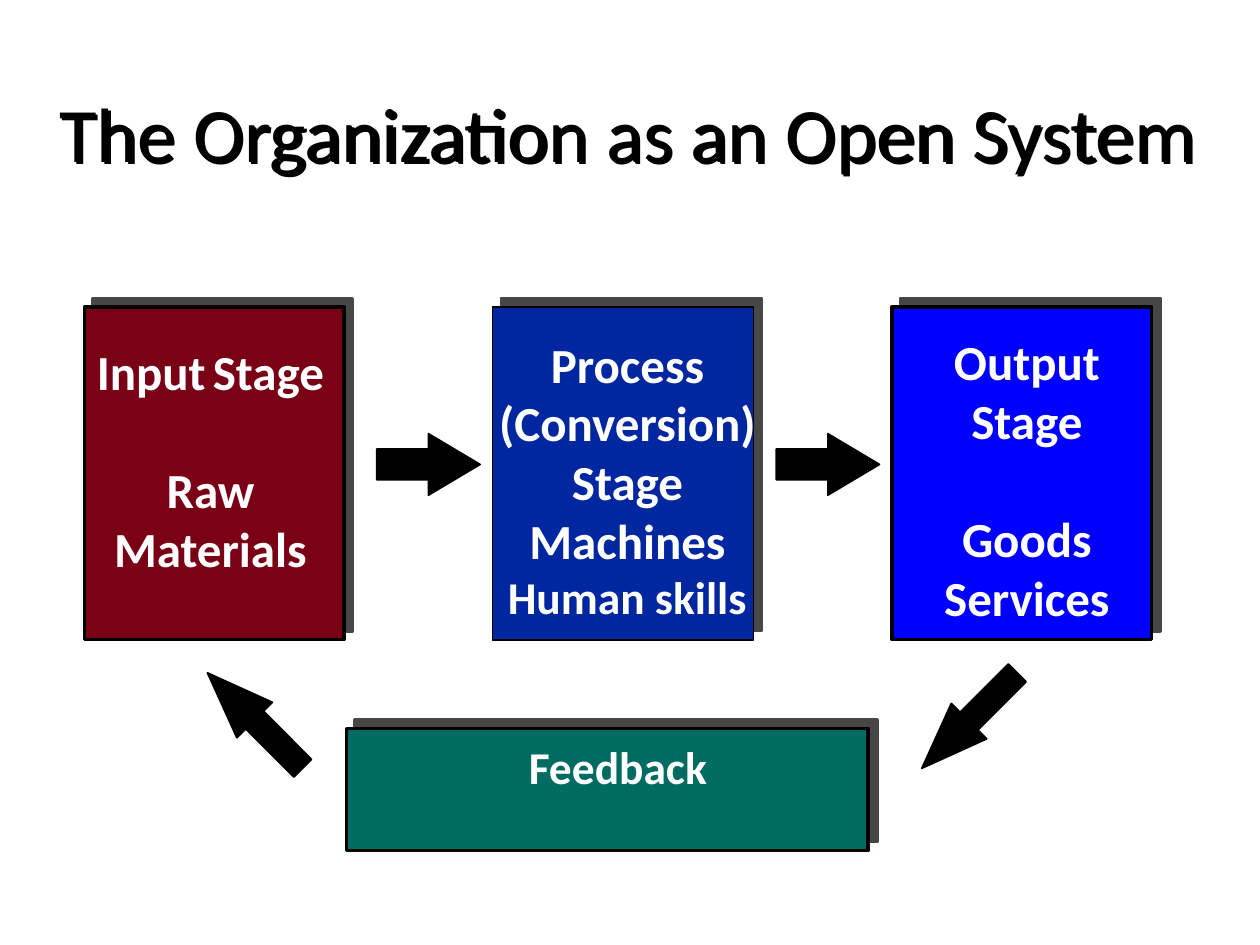
from lxml.etree import SubElement
from pptx import Presentation
from pptx.dml.color import RGBColor
from pptx.enum.shapes import MSO_SHAPE
from pptx.enum.text import MSO_ANCHOR, MSO_AUTO_SIZE, PP_ALIGN
from pptx.oxml.ns import qn
from pptx.util import Inches, Pt

COLORS = {"black": "000000", "white": "FFFFFF", "shadow": "474747",
          "input": "790015", "process": "00279F", "output": "0000FF",
          "feedback": "006B61"}
RGB = {name: RGBColor.from_string(value) for name, value in COLORS.items()}
FONT = "Calibri"

prs = Presentation()
prs.slide_width, prs.slide_height = Inches(10), Inches(7.5)


def place(left, top, width, height):
    """Turn percentages of the slide's width and height into lengths."""
    w, h = prs.slide_width / 100, prs.slide_height / 100
    return int(left * w), int(top * h), int(width * w), int(height * h)


def add_shadow(sp, color, distance, degrees):
    effects = SubElement(sp._element.spPr, qn("a:effectLst"))
    shadow = SubElement(effects, qn("a:outerShdw"), dist=str(Pt(distance)),
                        dir=str(degrees * 60000), algn="ctr", rotWithShape="0")
    SubElement(shadow, qn("a:srgbClr"), val=COLORS[color])


s = prs.slides.add_slide(prs.slide_layouts[5])
title = s.shapes.title
title.left, title.top, title.width, title.height = place(1.7, 7.1, 96.7, 14.1)
add_shadow(title, "black", 2, 225)
tf = title.text_frame
tf.vertical_anchor = MSO_ANCHOR.MIDDLE
p = tf.paragraphs[0]
p.alignment = PP_ALIGN.CENTER
r = p.add_run()
r.text = "The Organization as an Open System"
r.font.size, r.font.name, r.font.color.rgb = Pt(44), FONT, RGB["black"]

# Fill, line width, panel box, text box, lines of (runs, space before)
ROW, TALL, GAP = 32.5, 35.2, 34
panels = [
    ("input", 2, (6.7, ROW, 20.6, TALL), (6.1, 35.5, 21.2, 26.3),
     [([("Input", 28), (" ", 18), ("Stage", 28)], 0),
      ([("Raw", 28)], GAP), ([("Materials", 28)], 0)]),
    ("process", 1, (39.1, ROW, 20.7, TALL), (38.5, 34.7, 22.6, 32.3),
     [([("Process", 28)], 0), ([("(Conversion)", 28)], 0), ([("Stage", 28)], 0),
      ([("Machines", 28)], 0), ([("Human skills", 26)], 0)]),
    ("output", 2, (70.8, ROW, 20.6, TALL), (73.7, 34.4, 15.6, 32.4),
     [([("Output", 28)], 0), ([("Stage", 28)], 0),
      ([("Goods", 28)], GAP), ([("Services", 28)], 0)]),
    ("feedback", 2, (27.5, 77.1, 41.4, 12.9), (40.9, 77.5, 16.3, 7.2),
     [([("Feedback", 26)], 0)]),
]
for fill, line_width, panel_box, text_box, lines in panels:
    sp = s.shapes.add_shape(MSO_SHAPE.RECTANGLE, *place(*panel_box))
    sp.fill.solid()
    sp.fill.fore_color.rgb = RGB[fill]
    sp.line.color.rgb, sp.line.width = RGB["black"], Pt(line_width)
    add_shadow(sp, "shadow", 7.1, 315)

    tf = s.shapes.add_textbox(*place(*text_box)).text_frame
    tf.word_wrap = False
    tf.auto_size = MSO_AUTO_SIZE.SHAPE_TO_FIT_TEXT
    for i, (runs, space) in enumerate(lines):
        p = tf.add_paragraph() if i else tf.paragraphs[0]
        p.alignment, p.space_before = PP_ALIGN.CENTER, Pt(space)
        for text, size in runs:
            r = p.add_run()
            r.text = text
            r.font.size, r.font.name, r.font.bold = Pt(size), FONT, True
            r.font.color.rgb = RGB["white"]

# Box, rotation, head length
arrows = [
    ((29.9, 45.9, 8.2, 6.5), 0, 0.84),
    ((61.6, 45.9, 8.2, 6.5), 0, 0.84),
    ((71.6, 73.6, 10.7, 5.3), 135, 1.33),
    ((14.9, 73.6, 10.7, 5.3), 225, 1.33),
]
for arrow_box, rotation, head in arrows:
    sp = s.shapes.add_shape(MSO_SHAPE.RIGHT_ARROW, *place(*arrow_box))
    sp.rotation = rotation
    sp.adjustments[0], sp.adjustments[1] = 0.5, head
    sp.shadow.inherit = False
    sp.fill.solid()
    sp.fill.fore_color.rgb = RGB["black"]
    sp.line.color.rgb, sp.line.width = RGB["black"], Pt(1)

prs.save("out.pptx")
